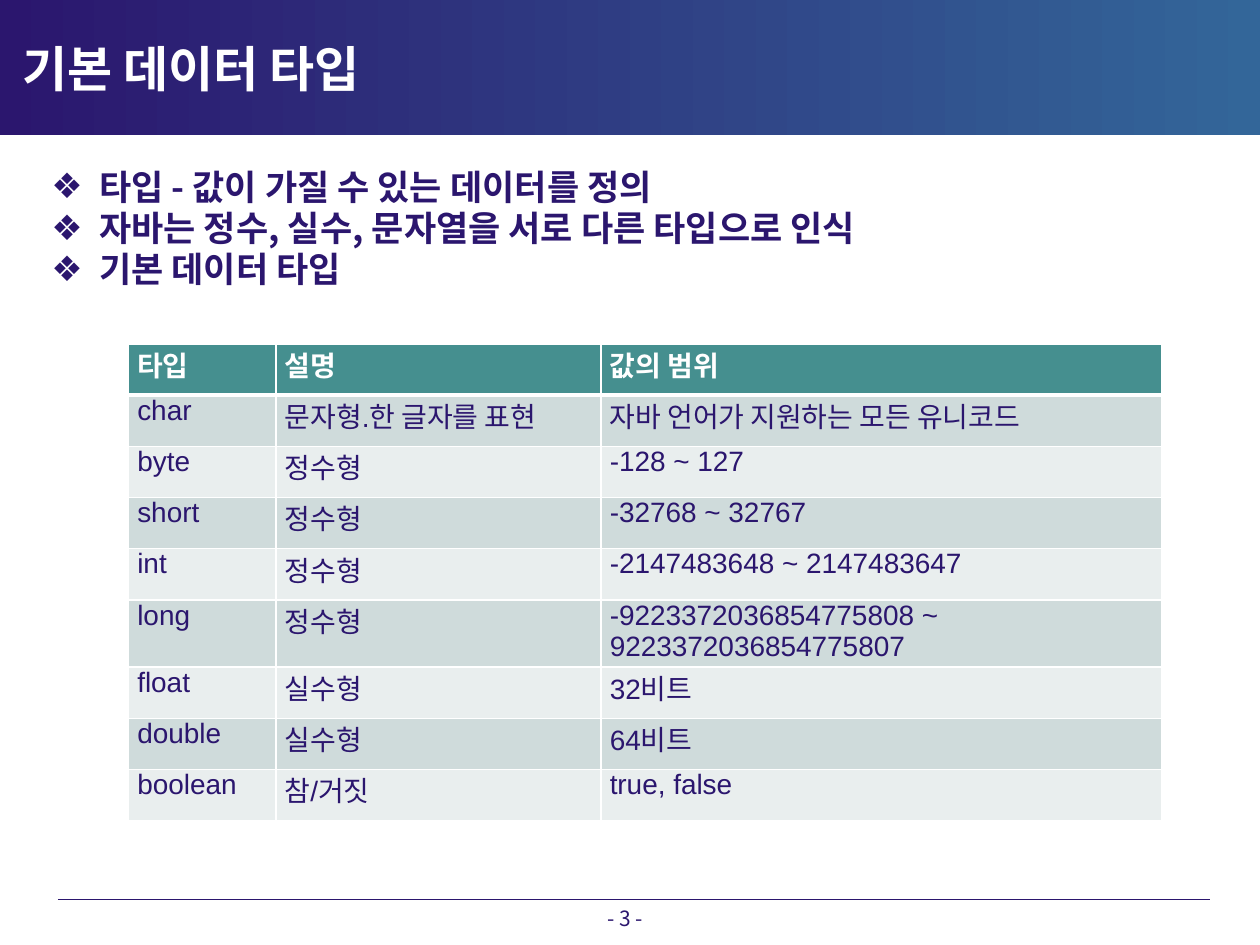
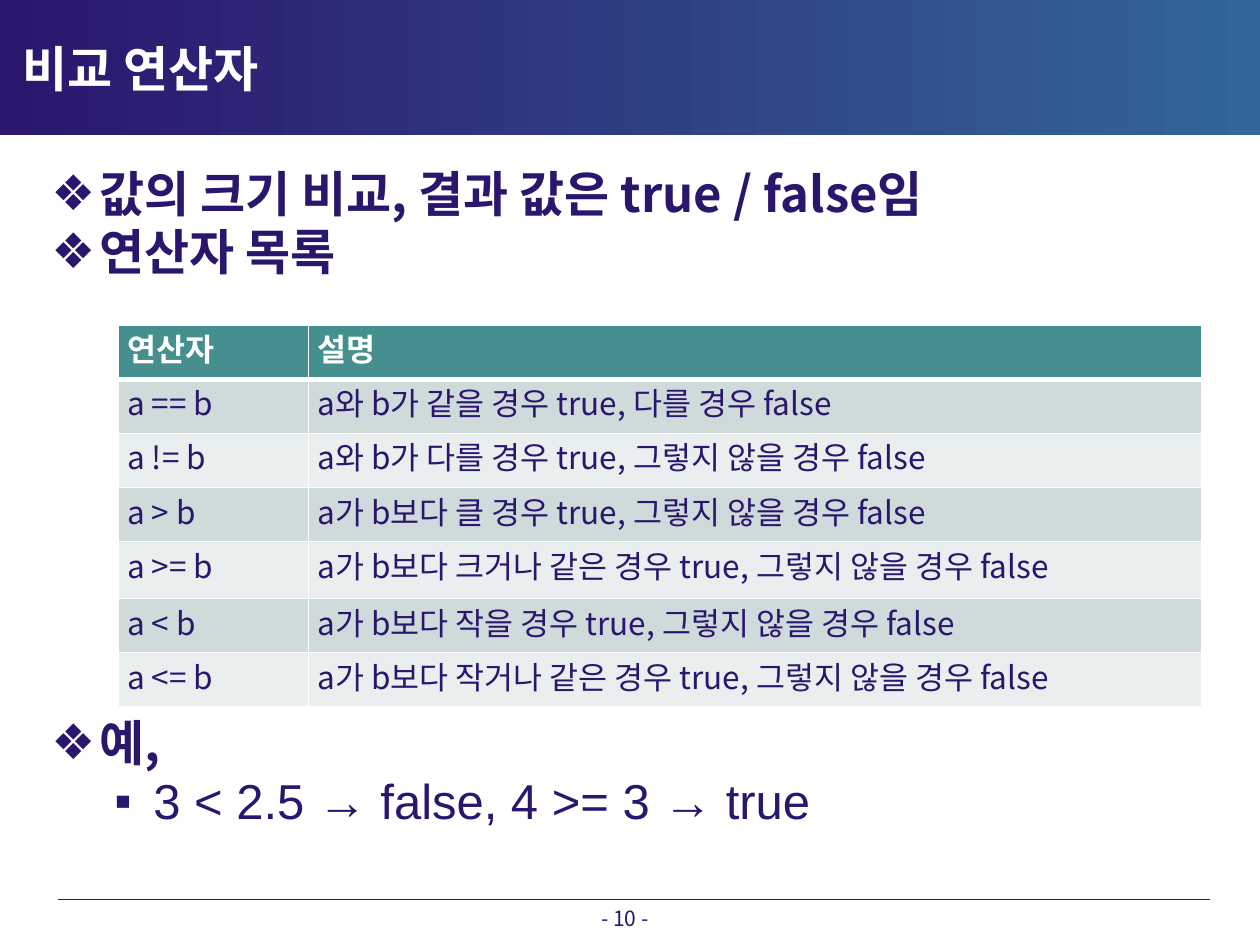
from dataclasses import dataclass

from lxml import etree
from pptx import Presentation
from pptx.dml.color import RGBColor
from pptx.enum.shapes import MSO_CONNECTOR, MSO_SHAPE
from pptx.enum.text import MSO_ANCHOR, MSO_AUTO_SIZE, PP_ALIGN
from pptx.oxml.ns import qn
from pptx.util import Inches, Pt

RECT = MSO_SHAPE.RECTANGLE
STRAIGHT = MSO_CONNECTOR.STRAIGHT
TOP, MIDDLE = MSO_ANCHOR.TOP, MSO_ANCHOR.MIDDLE
LEFT, CENTER, JUSTIFY = PP_ALIGN.LEFT, PP_ALIGN.CENTER, PP_ALIGN.JUSTIFY
NO_FIT = MSO_AUTO_SIZE.NONE


@dataclass(frozen=True)
class Theme:
    navy: str = "2B166E"
    blue: str = "336699"
    white: str = "FFFFFF"
    teal: str = "458F8F"
    bands: tuple[str, str] = ("CFDBDB", "E9EEEE")
    korean: str = "Noto Sans CJK KR"
    latin: str = "Arial"
    title_size: int = 28
    number_size: int = 12
    line_spacing: float = 0.9
    gap_ratio: float = 0.1


@dataclass(frozen=True)
class Bullet:
    text: str
    size: int
    sub: bool = False


@dataclass(frozen=True)
class BulletBox:
    top: float
    height: float
    bullets: list[Bullet]


@dataclass(frozen=True)
class Grid:
    left: float
    top: float
    columns: list[float]
    heights: list[float]
    size: int
    font: str
    rows: list[list[str]]


@dataclass(frozen=True)
class Page:
    title: str
    number: int
    boxes: list[BulletBox]
    grid: Grid


THEME = Theme()


def apply(target, values: dict) -> None:
    for name, value in values.items():
        setattr(target, name, value)


def rgb(color: str) -> RGBColor:
    return RGBColor.from_string(color)


def add_run(p, text: str, size: int, color: str, bold: bool = False,
            font: str = THEME.korean) -> None:
    r = p.add_run()
    r.text = text
    apply(r.font, {"size": Pt(size), "bold": bold, "name": font})
    r.font.color.rgb = rgb(color)
    ea = etree.SubElement(r.font._element, qn("a:ea"))
    ea.set("typeface", THEME.korean)


def add_frame(slide, title: str, number: int) -> None:
    sp = slide.shapes.title
    apply(sp, {"left": Inches(0.08), "top": Inches(0.23),
               "width": Inches(7.5), "height": Inches(0.62)})
    tf = sp.text_frame
    apply(tf, {"vertical_anchor": MIDDLE, "auto_size": NO_FIT, "word_wrap": True})
    p = tf.paragraphs[0]
    p.alignment = LEFT
    add_run(p, title, THEME.title_size, THEME.white, bold=True)

    band = slide.shapes.add_shape(RECT, 0, 0, Inches(10), Inches(1.07))
    band.shadow.inherit = False
    band.line.fill.background()
    band.fill.gradient()
    band.fill.gradient_angle = 0
    for stop, color in zip(band.fill.gradient_stops, (THEME.navy, THEME.blue)):
        stop.color.rgb = rgb(color)
    sp.element.addprevious(band.element)

    rule = slide.shapes.add_connector(
        STRAIGHT, Inches(0.46), Inches(7.14), Inches(9.6), Inches(7.14))
    rule.line.color.rgb = rgb(THEME.navy)
    rule.line.width = Pt(0.75)
    etree.SubElement(rule.element.spPr, qn("a:effectLst"))

    tf = slide.shapes.add_textbox(
        Inches(3.98), Inches(7.19), Inches(1.96), Inches(0.22)).text_frame
    apply(tf, {"word_wrap": True, "margin_left": 0, "margin_right": 0,
               "margin_top": 0, "margin_bottom": 0})
    p = tf.paragraphs[0]
    p.alignment = CENTER
    add_run(p, f"- {number} -", THEME.number_size, THEME.navy)


def format_bullet(p, bullet: Bullet) -> None:
    margin, hang, mark = (0.81, 0.31, "▪") if bullet.sub else (0.38, 0.38, "❖")
    ppr = p._p.get_or_add_pPr()
    ppr.set("marL", str(Inches(margin)))
    ppr.set("indent", str(-Inches(hang)))
    color = etree.SubElement(ppr, qn("a:buClr"))
    etree.SubElement(color, qn("a:srgbClr")).set("val", THEME.navy)
    etree.SubElement(ppr, qn("a:buFont")).set("typeface", THEME.latin)
    etree.SubElement(ppr, qn("a:buChar")).set("char", mark)


def add_bullets(slide, box: BulletBox) -> None:
    tf = slide.shapes.add_textbox(
        Inches(0.31), Inches(box.top), Inches(9.3), Inches(box.height)).text_frame
    apply(tf, {"word_wrap": True, "vertical_anchor": TOP})
    for i, bullet in enumerate(box.bullets):
        p = tf.add_paragraph() if i else tf.paragraphs[0]
        gap = bullet.size * THEME.gap_ratio if i else 0
        apply(p, {"line_spacing": THEME.line_spacing, "space_before": Pt(gap)})
        format_bullet(p, bullet)
        font = THEME.latin if bullet.sub else THEME.korean
        add_run(p, bullet.text, bullet.size, THEME.navy, not bullet.sub, font)


def set_borders(cell, row: int) -> None:
    tcpr = cell._tc.get_or_add_tcPr()
    widths = {"lnL": 1, "lnR": 1, "lnT": 3 if row == 1 else 1,
              "lnB": 3 if row == 0 else 1}
    for i, (side, width) in enumerate(widths.items()):
        ln = etree.Element(qn(f"a:{side}"), w=str(Pt(width)))
        fill = etree.SubElement(ln, qn("a:solidFill"))
        etree.SubElement(fill, qn("a:srgbClr")).set("val", THEME.white)
        tcpr.insert(i, ln)


def add_grid(slide, grid: Grid) -> None:
    table = slide.shapes.add_table(
        len(grid.rows), len(grid.columns), Inches(grid.left), Inches(grid.top),
        Inches(sum(grid.columns)), Inches(sum(grid.heights))).table
    for column, width in zip(table.columns, grid.columns):
        column.width = Inches(width)
    for i, (height, texts) in enumerate(zip(grid.heights, grid.rows)):
        table.rows[i].height = Inches(height)
        header = i == 0
        for j, text in enumerate(texts):
            cell = table.cell(i, j)
            apply(cell, {"margin_left": Inches(0.07), "margin_right": Inches(0.07),
                         "margin_top": 0, "margin_bottom": 0,
                         "vertical_anchor": TOP})
            cell.fill.solid()
            cell.fill.fore_color.rgb = rgb(
                THEME.teal if header else THEME.bands[(i - 1) % 2])
            set_borders(cell, i)
            tf = cell.text_frame
            for k, line in enumerate(text.split("\n")):
                p = tf.add_paragraph() if k else tf.paragraphs[0]
                p.alignment = JUSTIFY
                add_run(p, line, grid.size, THEME.white if header else THEME.navy,
                        header, grid.font)


PAGES = [
    Page("기본 데이터 타입", 3,
         [BulletBox(1.3, 5.57, [
             Bullet("타입 - 값이 가질 수 있는 데이터를 정의", 20),
             Bullet("자바는 정수, 실수, 문자열을 서로 다른 타입으로 인식", 20),
             Bullet("기본 데이터 타입", 20)])],
         Grid(1.02, 2.73, [1.17, 2.58, 4.45], [3.66 / 9] * 9, 16, THEME.latin, [
             ["타입", "설명", "값의 범위"],
             ["char", "문자형.한 글자를 표현", "자바 언어가 지원하는 모든 유니코드"],
             ["byte", "정수형", "-128 ~ 127"],
             ["short", "정수형", "-32768 ~ 32767"],
             ["int", "정수형", "-2147483648 ~ 2147483647"],
             ["long", "정수형", "-9223372036854775808 ~\n9223372036854775807"],
             ["float", "실수형", "32비트"],
             ["double", "실수형", "64비트"],
             ["boolean", "참/거짓", "true, false"]])),
    Page("비교 연산자", 10,
         [BulletBox(1.3, 1.2, [
             Bullet("값의 크기 비교, 결과 값은 true / false임", 28),
             Bullet("연산자 목록", 28)]),
          BulletBox(5.66, 1.21, [
              Bullet("예,", 28),
              Bullet("3 < 2.5 → false, 4 >= 3 → true", 28, sub=True)])],
         Grid(0.94, 2.58, [1.51, 7.09], [0.43] * 4 + [0.45] + [0.43] * 2, 18,
              THEME.korean, [
             ["연산자", "설명"],
             ["a == b", "a와 b가 같을 경우 true, 다를 경우 false"],
             ["a != b", "a와 b가 다를 경우 true, 그렇지 않을 경우 false"],
             ["a > b", "a가 b보다 클 경우 true, 그렇지 않을 경우 false"],
             ["a >= b", "a가 b보다 크거나 같은 경우 true, 그렇지 않을 경우 false"],
             ["a < b", "a가 b보다 작을 경우 true, 그렇지 않을 경우 false"],
             ["a <= b", "a가 b보다 작거나 같은 경우 true, 그렇지 않을 경우 false"]])),
]


def main() -> None:
    prs = Presentation()
    apply(prs, {"slide_width": Inches(10), "slide_height": Inches(7.5)})
    title_only = prs.slide_layouts[5]
    for page in PAGES:
        s = prs.slides.add_slide(title_only)
        add_frame(s, page.title, page.number)
        for box in page.boxes:
            add_bullets(s, box)
        add_grid(s, page.grid)
    prs.save("out.pptx")


if __name__ == "__main__":
    main()
